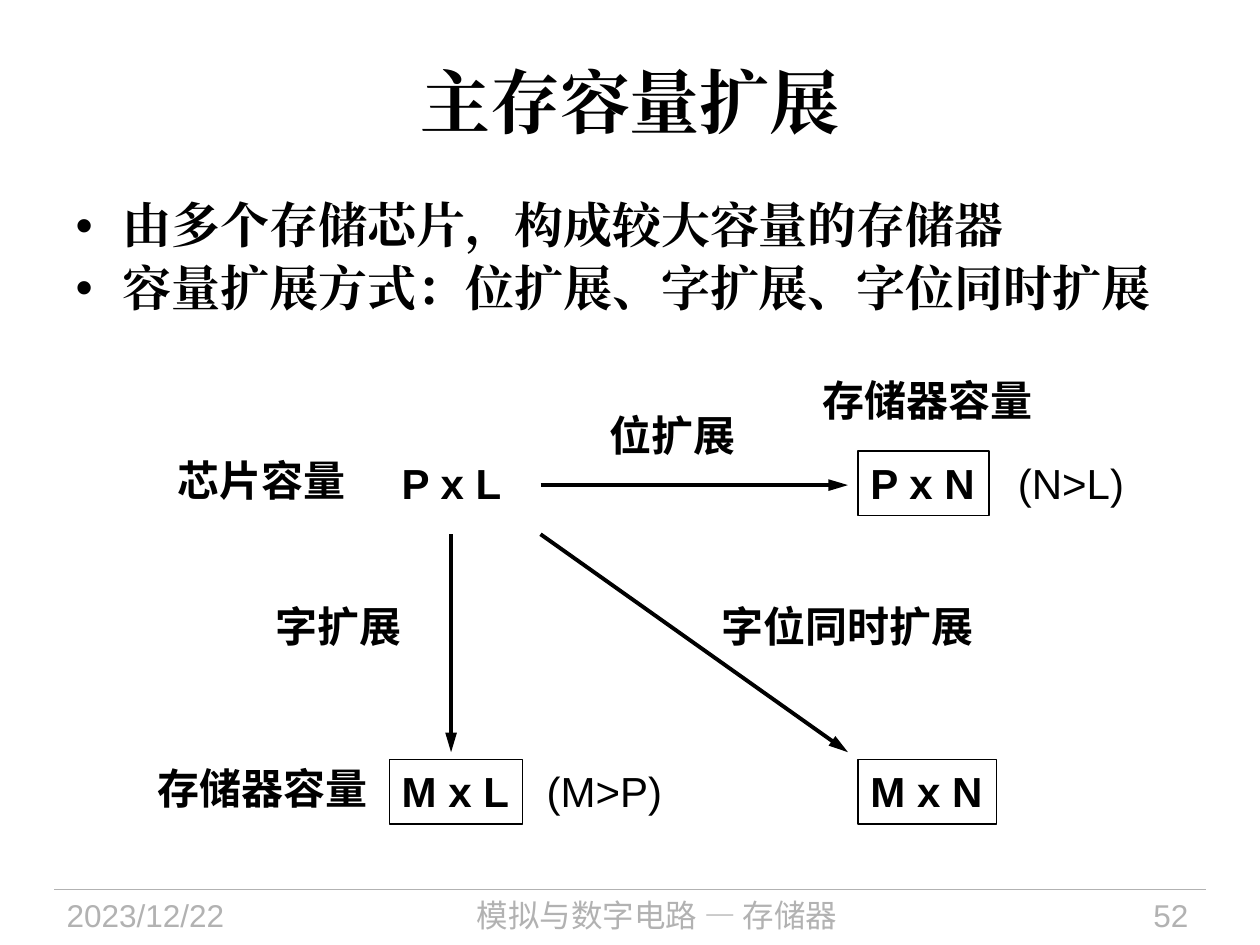
from lxml import etree
from pptx import Presentation
from pptx.dml.color import RGBColor
from pptx.enum.shapes import MSO_CONNECTOR, MSO_SHAPE
from pptx.enum.text import MSO_ANCHOR, MSO_AUTO_SIZE, PP_ALIGN
from pptx.oxml.ns import qn
from pptx.util import Inches, Pt

LEFT, CENTER, RIGHT = PP_ALIGN.LEFT, PP_ALIGN.CENTER, PP_ALIGN.RIGHT
TOP, MIDDLE = MSO_ANCHOR.TOP, MSO_ANCHOR.MIDDLE
FIT, NO_FIT = MSO_AUTO_SIZE.SHAPE_TO_FIT_TEXT, MSO_AUTO_SIZE.NONE
STRAIGHT, RECT = MSO_CONNECTOR.STRAIGHT, MSO_SHAPE.RECTANGLE
BLACK, GRAY = "000000", "B2B2B2"
SANS, SERIF, CJK = "Arial", "Times New Roman", "Noto Sans CJK SC"
BOX_X, ARROW_X, ARROW_END = 6.81, 4.29, 6.73
CHIP_X, TOP_ROW, LOW_ROW, LABEL_ROW = 3.09, 3.58, 6.03, 4.72
ARROW_TOP, ARROW_BOTTOM = 4.24, 5.97


def rgb(value):
    """Return the colour for a hex string."""
    return RGBColor.from_string(value)


def write(p, text, size=24, font=SANS, color=BLACK, bold=True, align=LEFT,
          spacing=None, after=0):
    """Put one formatted run into a paragraph."""
    p.alignment = align
    p.line_spacing = spacing
    p.space_before, p.space_after = Pt(0), Pt(after)
    r = p.add_run()
    r.text = text
    r.font.size, r.font.bold, r.font.name = Pt(size), bold, font
    r.font.color.rgb = rgb(color)
    etree.SubElement(r.font._element, qn("a:ea"), typeface=font)


def place(sp, x, y, w, h):
    """Move and size a shape in inches."""
    sp.left, sp.top, sp.width, sp.height = map(Inches, (x, y, w, h))


def add_label(shapes, text, x, y, w, h=0.51, wrap=False, fit=FIT, **fmt):
    """Add a text box with one line."""
    tf = shapes.add_textbox(*map(Inches, (x, y, w, h))).text_frame
    tf.word_wrap, tf.auto_size = wrap, fit
    write(tf.paragraphs[0], text, **fmt)


def add_box(shapes, text, x, y, w, h=0.51):
    """Add an outlined capacity box."""
    sp = shapes.add_shape(RECT, *map(Inches, (x, y, w, h)))
    sp.shadow.inherit = False
    sp.fill.background()
    sp.line.color.rgb, sp.line.width = rgb(BLACK), Pt(0.75)
    tf = sp.text_frame
    tf.word_wrap, tf.auto_size, tf.vertical_anchor = False, FIT, TOP
    write(tf.paragraphs[0], text)


def add_line(shapes, x1, y1, x2, y2, color=BLACK, width=2.25, arrow=True):
    """Add a straight line, with an arrowhead at its end if wanted."""
    sp = shapes.add_connector(STRAIGHT, *map(Inches, (x1, y1, x2, y2)))
    sp.line.color.rgb, sp.line.width = rgb(color), Pt(width)
    if arrow:
        etree.SubElement(sp.line._get_or_add_ln(), qn("a:tailEnd"),
                         type="triangle", w="med", len="lg")
    etree.SubElement(sp._element.spPr, qn("a:effectLst"))


def add_footer(shapes):
    """Add the rule, date, course name and page number."""
    add_line(shapes, 0.43, 7.06, 9.57, 7.06, GRAY, 0.75, arrow=False)
    for text, x, w, font, align in (
            ("2023/12/22", 0.43, 1.88, SANS, LEFT),
            ("模拟与数字电路 — 存储器", 2.4, 5.63, CJK, CENTER),
            ("52", 8.2, 1.33, SANS, RIGHT)):
        add_label(shapes, text, x, 7.06, w, 0.44, wrap=True, fit=NO_FIT,
                  size=18, font=font, color=GRAY, bold=False, align=align)


def add_heading(shapes):
    """Fill the title and the bullet list."""
    title, body = shapes.title, shapes.placeholders[1]
    place(title, 0.5, 0.17, 9, 1.25)
    title.text_frame.vertical_anchor = MIDDLE
    write(title.text_frame.paragraphs[0], "主存容量扩展", size=40, font=SERIF,
          align=CENTER)
    place(body, 0.5, 1.55, 9, 1.97)
    tf = body.text_frame
    tf.auto_size = NO_FIT
    for i, text in enumerate(("由多个存储芯片，构成较大容量的存储器",
                              "容量扩展方式：位扩展、字扩展、字位同时扩展")):
        p = tf.add_paragraph() if i else tf.paragraphs[0]
        write(p, text, size=28, font=SERIF, spacing=0.9, after=5.6)


def add_diagram(shapes):
    """Add the chip and its three ways of expansion."""
    add_label(shapes, "P x L", CHIP_X, TOP_ROW, 1, 0.5)

    both = shapes.add_group_shape().shapes
    add_box(both, "M x N", BOX_X, LOW_ROW, 1.1)
    add_line(both, ARROW_X, ARROW_TOP, ARROW_END, ARROW_BOTTOM)
    add_label(both, "字位同时扩展", 5.63, LABEL_ROW, 2.23)

    bits = shapes.add_group_shape().shapes
    add_box(bits, "P x N", BOX_X, TOP_ROW, 1.04)
    add_line(bits, ARROW_X, 3.85, ARROW_END, 3.85)
    add_label(bits, "位扩展", 4.74, 3.2, 1.22)
    add_label(bits, "(N>L)", 7.98, TOP_ROW, 1.05, bold=False)

    words = shapes.add_group_shape().shapes
    add_box(words, "M x L", CHIP_X, LOW_ROW, 1.06)
    add_line(words, 3.58, ARROW_TOP, 3.58, ARROW_BOTTOM)
    add_label(words, "字扩展", 2.09, LABEL_ROW, 1.22)
    add_label(words, "(M>P)", 4.24, LOW_ROW, 1.13, bold=False)

    add_label(shapes, "芯片容量", 1.31, 3.56, 1.56, 0.5)
    for x, y, w in ((6.43, 2.97, 2.08), (1.15, 6.05, 1.88)):
        add_label(shapes, "存储器容量", x, y, w, 0.46, wrap=True, spacing=0.9)


def main():
    """Build and save the slide."""
    prs = Presentation()
    prs.slide_width, prs.slide_height = Inches(10), Inches(7.5)
    shapes = prs.slides.add_slide(prs.slide_layouts[1]).shapes
    add_footer(shapes)
    add_heading(shapes)
    add_diagram(shapes)
    prs.save("out.pptx")


if __name__ == "__main__":
    main()
